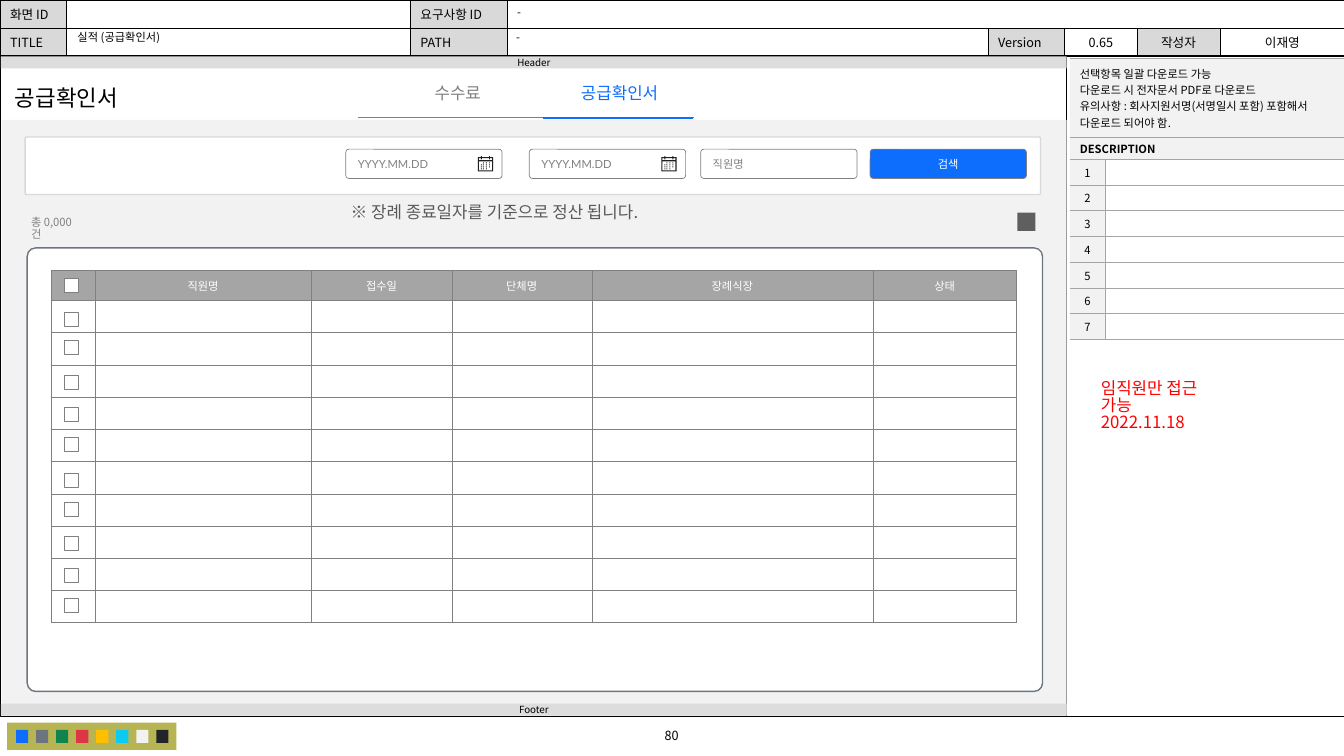
from lxml import etree
from pptx import Presentation
from pptx.dml.color import RGBColor
from pptx.enum.shapes import MSO_CONNECTOR as Link, MSO_SHAPE as Form
from pptx.enum.text import MSO_ANCHOR as Anchor, PP_ALIGN as Align
from pptx.oxml import parse_xml
from pptx.oxml.ns import nsdecls, qn
from pptx.util import Inches, Pt

FONT = "Noto Sans CJK KR"
BLACK, WHITE, GRAY, BLUE = "000000", "FFFFFF", "808080", "0D6EFD"
PLAIN = "{2D5ABB26-0587-4C30-8999-92F81FD0307C}"


def color(code):
    return RGBColor.from_string(code)


def write(frame, text, size=8, ink=BLACK, font=FONT, bold=False,
          center=False, gap=None):
    """Fill a text frame, one paragraph for each line of text."""
    for i, line in enumerate(text.split("\n")):
        para = frame.add_paragraph() if i else frame.paragraphs[0]
        para.alignment = Align.CENTER if center else Align.LEFT
        if gap:
            para.line_spacing = gap
        run = para.add_run()
        run.text = line
        run.font.size, run.font.bold = Pt(size), bold
        run.font.name = font
        run.font.color.rgb = color(ink)
        east = etree.SubElement(run.font._element, qn("a:ea"))
        east.set("typeface", FONT)


def pad(box, x, y):
    box.margin_left = box.margin_right = Inches(x)
    box.margin_top = box.margin_bottom = Inches(y)


def edge(cell, sides, ink, width):
    props = cell._tc.get_or_add_tcPr()
    for side in sides:
        props.append(parse_xml(
            f'<a:ln{side} {nsdecls("a")} w="{Pt(width)}"><a:solidFill>'
            f'<a:srgbClr val="{ink}"/></a:solidFill></a:ln{side}>'))


class Board:
    def __init__(self, deck):
        self.slide = deck.slides.add_slide(deck.slide_layouts[6])
        self.shapes = self.slide.shapes

    def paint(self, shape, fill, line, width):
        shape.shadow.inherit = False
        if fill:
            shape.fill.solid()
            shape.fill.fore_color.rgb = color(fill)
        else:
            shape.fill.background()
        if line:
            shape.line.color.rgb = color(line)
            shape.line.width = Pt(width)
        else:
            shape.line.fill.background()

    def box(self, x, y, w, h, fill=None, line=None, width=0.5, adj=None,
            text=None, inset=(0, 0), **style):
        form = Form.RECTANGLE if adj is None else Form.ROUNDED_RECTANGLE
        shape = self.shapes.add_shape(form, *map(Inches, (x, y, w, h)))
        if adj is not None:
            shape.adjustments[0] = adj
        self.paint(shape, fill, line, width)
        if text:
            frame = shape.text_frame
            frame.vertical_anchor = Anchor.MIDDLE
            pad(frame, *inset)
            write(frame, text, **style)

    def text(self, x, y, w, h, text, middle=False, gap=0.85, **style):
        frame = self.shapes.add_textbox(*map(Inches, (x, y, w, h))).text_frame
        frame.word_wrap = True
        frame.vertical_anchor = Anchor.MIDDLE if middle else Anchor.TOP
        pad(frame, 0.1, 0 if middle else 0.05)
        write(frame, text, gap=gap, **style)

    def line(self, x1, y1, x2, y2, ink, width):
        link = self.shapes.add_connector(
            Link.STRAIGHT, *map(Inches, (x1, y1, x2, y2)))
        link.line.color.rgb = color(ink)
        link.line.width = Pt(width)
        etree.SubElement(link._element.spPr, qn("a:effectLst"))

    def grid(self, x, y, cols, rows):
        size = map(Inches, (x, y, sum(cols), sum(rows)))
        table = self.shapes.add_table(len(rows), len(cols), *size).table
        table.first_row = table.horz_banding = False
        table._tbl.tblPr[0].text = PLAIN
        for col, w in zip(table.columns, cols):
            col.width = Inches(w)
        for row, h in zip(table.rows, rows):
            row.height = Inches(h)
        return table

    def cell(self, cell, text="", fill=None, sides="LRTB", ink=BLACK,
             width=0.5, inset=(0.1, 0.02), **style):
        edge(cell, sides, ink, width)
        if fill:
            cell.fill.solid()
            cell.fill.fore_color.rgb = color(fill)
        pad(cell, *inset)
        cell.vertical_anchor = Anchor.MIDDLE
        if text:
            write(cell.text_frame, text, **style)
        else:
            para = cell.text_frame.paragraphs[0]._p
            para.get_or_add_endParaRPr().set("sz", "800")

    def dates(self, x, y):
        """Calendar icon, drawn in hundredths of an inch."""
        rim = [(0, 1), (3, 1), (3, 0), (4, 0), (4, 1), (11, 1), (11, 0),
               (12, 0), (12, 1), (15, 1), (15, 15), (0, 15)]
        head = [(1, 2), (3, 2), (3, 3), (4, 3), (4, 2), (11, 2), (11, 3),
                (12, 3), (12, 2), (14, 2), (14, 4), (1, 4)]
        page = [(1, 5), (14, 5), (14, 14), (1, 14)]
        days = [[(a, b), (a + 1, b), (a + 1, b + 1), (a, b + 1)]
                for b in (6, 8, 10, 12) for a in (3, 5, 8, 11)
                if (a, b) not in ((3, 6), (11, 12))]
        left, top = round(x * 100), round(y * 100)
        pen = self.shapes.build_freeform(left, top + 1, scale=Inches(0.01))
        for i, loop in enumerate([rim, head, page] + days):
            spots = [(left + a, top + b) for a, b in loop]
            if i:
                pen.move_to(*spots[0])
            pen.add_line_segments(spots[1:], close=True)
        self.paint(pen.convert_to_shape(), "1F1F1F", None, 0)


def frame(board):
    # Document header table
    cols = [0.66, 3.41, 0.96, 4.77, 0.76, 0.72, 0.82, 1.24]
    rows = [["화면 ID", "", "요구사항 ID"] + [""] * 5,
            ["TITLE", "", "PATH", "", "Version", "0.65", "작성자", "이재영"]]
    table = board.grid(0, 0, cols, [0.28, 0.28])
    table.cell(0, 3).merge(table.cell(0, 7))
    for r, row in enumerate(rows):
        for c, text in enumerate(row):
            label = text and c in (0, 2, 4, 6)
            board.cell(table.cell(r, c), text, "D9D9D9" if label else WHITE,
                       size=9, center=c > 4)
    # Page frame, number and palette
    board.box(0, 0.55, 13.33, 6.56, line=BLACK, width=0.25)
    board.text(5.37, 7.19, 2.58, 0.25, "80", size=9, center=True)
    board.line(10.58, 0.56, 10.58, 7.11, BLACK, 0.5)
    board.box(0.07, 7.17, 1.68, 0.27, "B7B553")
    inks = [BLUE, "6C757D", "10834E", "DC3545", "FFBE00", "0DCAF0",
            "F2F2F2", "212529"]
    for i, ink in enumerate(inks):
        board.box(0.16 + i * 1.39 / 7, 7.24, 0.12, 0.13, ink)
    # Screen area with its bars
    board.box(0.02, 1.19, 10.56, 5.91, "F2F2F2")
    for y, name in ((6.98, "Footer"), (0.56, "Header")):
        board.box(0.01, y, 10.57, 0.12, "DDDDDD", text=name, size=7,
                  center=True)
    board.box(0.27, 2.46, 10.07, 4.4, WHITE, "6C757D", 1, adj=0.019)
    for x, y, w, text in ((5.03, 0.01, 8.29, "-"), (5.02, 0.26, 4.74, "-"),
                          (0.67, 0.28, 3.38, "실적 (공급확인서)")):
        board.text(x, y, w, 0.2 if x < 1 else 0.23, text, middle=True, gap=0.9)


def notes(board):
    # Description panel
    memo = ("선택항목 일괄 다운로드 가능\n다운로드 시 전자문서 PDF로 다운로드\n"
            "유의사항 : 회사지원서명(서명일시 포함) 포함해서 다운로드 되어야 함.")
    table = board.grid(10.61, 0.58, [0.35, 2.37],
                       [0.78, 0.22] + [1.79 / 7] * 7)
    look = dict(ink="A6A6A6", sides="TB")
    for r, text in enumerate((memo, "DESCRIPTION")):
        table.cell(r, 0).merge(table.cell(r, 1))
        board.cell(table.cell(r, 0), text, "F2F2F2", bold=r == 1, **look)
        board.cell(table.cell(r, 1), **look)
    for n in range(1, 8):
        board.cell(table.cell(n + 1, 0), str(n), "F2F2F2", inset=(0, 0),
                   center=True, **look)
        board.cell(table.cell(n + 1, 1), ink="A6A6A6", sides="LTB")
    board.text(10.82, 3.73, 1.45, 0.7, "임직원만 접근 가능\n2022.11.18",
               size=12, ink="FF0000")


def screen(board):
    # Title and tabs
    board.text(0.05, 0.83, 1.32, 0.37, "공급확인서", size=16)
    board.text(5.39, 0.8, 1.51, 0.3, "공급확인서", size=12, ink=BLUE,
               center=True)
    board.text(4.15, 0.8, 0.78, 0.3, "수수료", size=12, ink=GRAY, center=True)
    board.line(3.55, 1.16, 6.88, 1.16, GRAY, 0.25)
    board.line(5.39, 1.17, 6.87, 1.17, BLUE, 1.5)
    # Search bar
    board.box(0.25, 1.36, 10.07, 0.57, WHITE, "D9D9D9", 1, adj=0.021)
    for x, text in ((3.43, "YYYY.MM.DD"), (5.25, "YYYY.MM.DD"),
                    (6.95, "직원명"), (8.63, "검색")):
        go = text == "검색"
        board.box(x, 1.48, 1.55, 0.29, BLUE if go else WHITE, GRAY, adj=0.108,
                  text=text, inset=(0.11, 0.07), font="Lato",
                  ink=WHITE if go else GRAY, center=go)
        if text.startswith("Y"):
            board.dates(x + 1.31, 1.55)
    # Count, note and export mark
    board.text(0.21, 2.11, 0.7, 0.35, "총 0,000건", ink=GRAY)
    board.text(3.38, 1.98, 3.39, 0.3, "※ 장례 종료일자를 기준으로 정산 됩니다.",
               size=12, ink="595959")
    board.box(10.09, 2.11, 0.18, 0.18, "5F5F5F")
    # Result table
    heads = ["", "직원명", "접수일", "단체명", "장례식장", "상태"]
    table = board.grid(0.51, 2.68, [0.43, 2.15, 1.39, 1.39, 2.79, 1.42],
                       [0.3] + [0.32] * 10)
    for r in range(11):
        for c, head in enumerate(heads):
            cell = table.cell(r, c)
            edge(cell, "LRTB", GRAY, 0.25)
            board.cell(cell, "" if r else head, None if r else "A5A5A5",
                       sides="", inset=(0.06, 0.04), center=True)
            if not r and head:
                cell.text_frame.paragraphs[0].runs[0].font.color.rgb = color(
                    WHITE)
    # Check boxes
    for y in (2.76, 3.1, 3.38, 3.72, 4.04, 4.34, 4.7, 4.98, 5.32, 5.64, 5.94):
        board.box(0.64, y, 0.14, 0.14, WHITE, GRAY)


def main():
    deck = Presentation()
    deck.slide_width, deck.slide_height = Inches(13.33), Inches(7.5)
    board = Board(deck)
    frame(board)
    notes(board)
    screen(board)
    deck.save("out.pptx")


if __name__ == "__main__":
    main()
